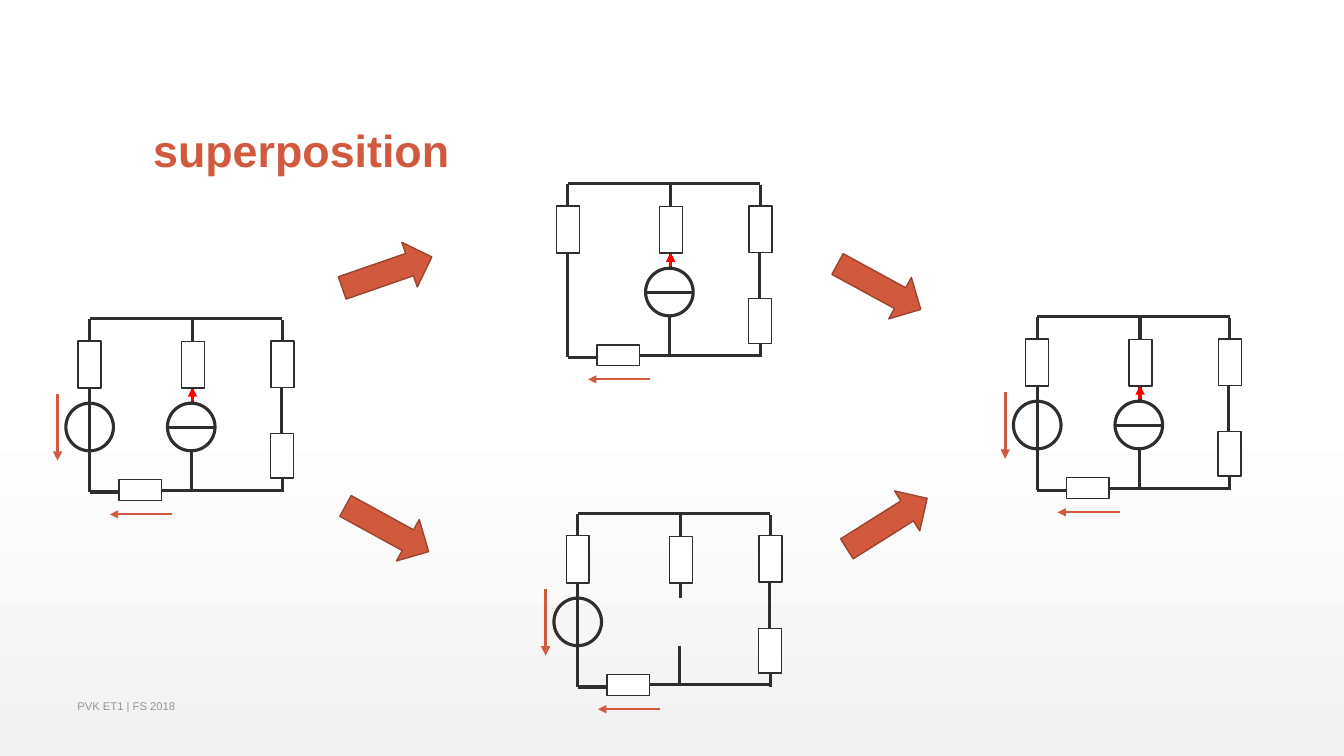
from lxml import etree
from pptx import Presentation
from pptx.dml.color import RGBColor
from pptx.enum.shapes import MSO_CONNECTOR, MSO_SHAPE
from pptx.enum.text import MSO_ANCHOR
from pptx.oxml.ns import qn
from pptx.util import Cm, Pt

LINE = MSO_CONNECTOR.STRAIGHT
RECT, OVAL, ARROW = MSO_SHAPE.RECTANGLE, MSO_SHAPE.OVAL, MSO_SHAPE.RIGHT_ARROW
BOTTOM, MIDDLE = MSO_ANCHOR.BOTTOM, MSO_ANCHOR.MIDDLE

# Content: all lengths in cm
INK, RUST, EDGE, RED, WHITE = "2D2E2D", "D15A3E", "9B432E", "FF0000", "FFFFFF"
TEXTS = [  # text, box, size, colour, bold, anchor, line spacing
    ("superposition", (3.61, 1.4, 26.67, 3.18), 32, RUST, True, BOTTOM, 0.9),
    ("PVK ET1 | FS 2018", (1.7, 17.48, 17.02, 0.61), 8, "959795", False, MIDDLE, 1),
]
CIRCUITS = [  # top left corner, current source, voltage source
    (2.26, 8.03, True, True),
    (14.56, 12.94, False, True),
    (14.31, 4.63, True, False),
    (26.14, 7.98, True, True),
]
ARROWS = [  # left, top, turn
    (8.56, 6.27, 340.9),
    (8.56, 12.73, 28.8),
    (21.16, 12.6, 327.8),
    (20.96, 6.63, 28.6),
]

# Parts of a circuit, measured from its top left corner
WIRES = [
    (2.59, 0.91, 2.59, -0.03), (0, 0.97, 0, 0),
    (2.59, 2.13, 2.59, 1.17), (2.57, 4.34, 2.57, 3.33),
    (0, 2.13, 0, 1.17), (0, 4.37, 0, 3.33), (0, 2.13, 0, 3.33),
    (4.83, 2.9, 4.83, 1.73), (0, 4.37, 0.74, 4.37),
    (1.8, 4.32, 4.85, 4.32), (4.85, 4.37, 4.85, 3.89),
    (0, 0, 4.85, 0), (4.85, 1, 4.85, 0.03),
]
BOXES = [
    (-0.29, 0.56, 0.58, 1.19), (2.31, 0.58, 0.58, 1.17),
    (4.57, 0.56, 0.58, 1.17), (4.56, 2.9, 0.58, 1.12),
    (0.74, 4.06, 1.07, 0.52),
]
AMP, BAR, FLOW = (1.96, 2.13, 1.2, 1.2), (3.16, 2.74, 1.96, 2.74), (2.59, 2.08, 2.59, 1.73)
VOLT, DROP = (-0.6, 2.13, 1.2, 1.2), (-0.81, 1.9, -0.81, 3.58)
LOOP = (2.08, 4.93, 0.51, 4.93)


def hue(code):
    return RGBColor.from_string(code)


def draw(home, kind, box, fill, edge, width, turn=0):
    part = home.add_shape(kind, *map(Cm, box))
    part.shadow.inherit = False
    part.rotation = turn
    if fill:
        part.fill.solid()
        part.fill.fore_color.rgb = hue(fill)
    else:
        part.fill.background()
    part.line.color.rgb = hue(edge)
    part.line.width = Pt(width)


def wire(home, ends, color=INK, width=2.25, tip=False):
    part = home.add_connector(LINE, *map(Cm, ends))
    part.line.color.rgb = hue(color)
    part.line.width = Pt(width)
    if tip:
        etree.SubElement(part.line._get_or_add_ln(), qn("a:tailEnd"), type="triangle")
    etree.SubElement(part._element.spPr, qn("a:effectLst"))


def circuit(home, x, y, amp, volt):
    def at(box):
        return x + box[0], y + box[1], box[2], box[3]

    def span(ends):
        return x + ends[0], y + ends[1], x + ends[2], y + ends[3]

    for ends in WIRES:
        wire(home, span(ends))
    if amp:
        draw(home, OVAL, at(AMP), None, INK, 2.25)
        wire(home, span(BAR))
        wire(home, span(FLOW), RED, tip=True)
    if volt:
        draw(home, OVAL, at(VOLT), None, INK, 2.25, 270)
        wire(home, span(DROP), RUST, tip=True)
    wire(home, span(LOOP), RUST, 1.5, True)
    for box in BOXES:
        draw(home, RECT, at(box), WHITE, INK, 1)


def main():
    deck = Presentation()
    deck.slide_width, deck.slide_height = Cm(33.87), Cm(19.05)
    slide = deck.slides.add_slide(deck.slide_layouts[6])

    # Background: white, greying towards the bottom
    back = slide.background.fill
    back.gradient()
    back.gradient_angle = 270
    for stop, (place, code) in zip(back.gradient_stops, [(0.53, WHITE), (1, "F2F2F2")]):
        stop.position = place
        stop.color.rgb = hue(code)

    # Title and footer
    for text, box, size, color, bold, anchor, gap in TEXTS:
        frame = slide.shapes.add_textbox(*map(Cm, box)).text_frame
        frame.word_wrap = True
        frame.vertical_anchor = anchor
        para = frame.paragraphs[0]
        para.text = text
        para.line_spacing = gap
        font = para.font
        font.name, font.size, font.bold = "Arial", Pt(size), bold
        font.color.rgb = hue(color)

    # Circuits, one group each
    for spot in CIRCUITS:
        circuit(slide.shapes.add_group_shape().shapes, *spot)

    # Block arrows between the circuits
    for x, y, turn in ARROWS:
        draw(slide.shapes, ARROW, (x, y, 2.39, 1.19), RUST, EDGE, 1, turn)

    deck.save("out.pptx")


if __name__ == "__main__":
    main()
